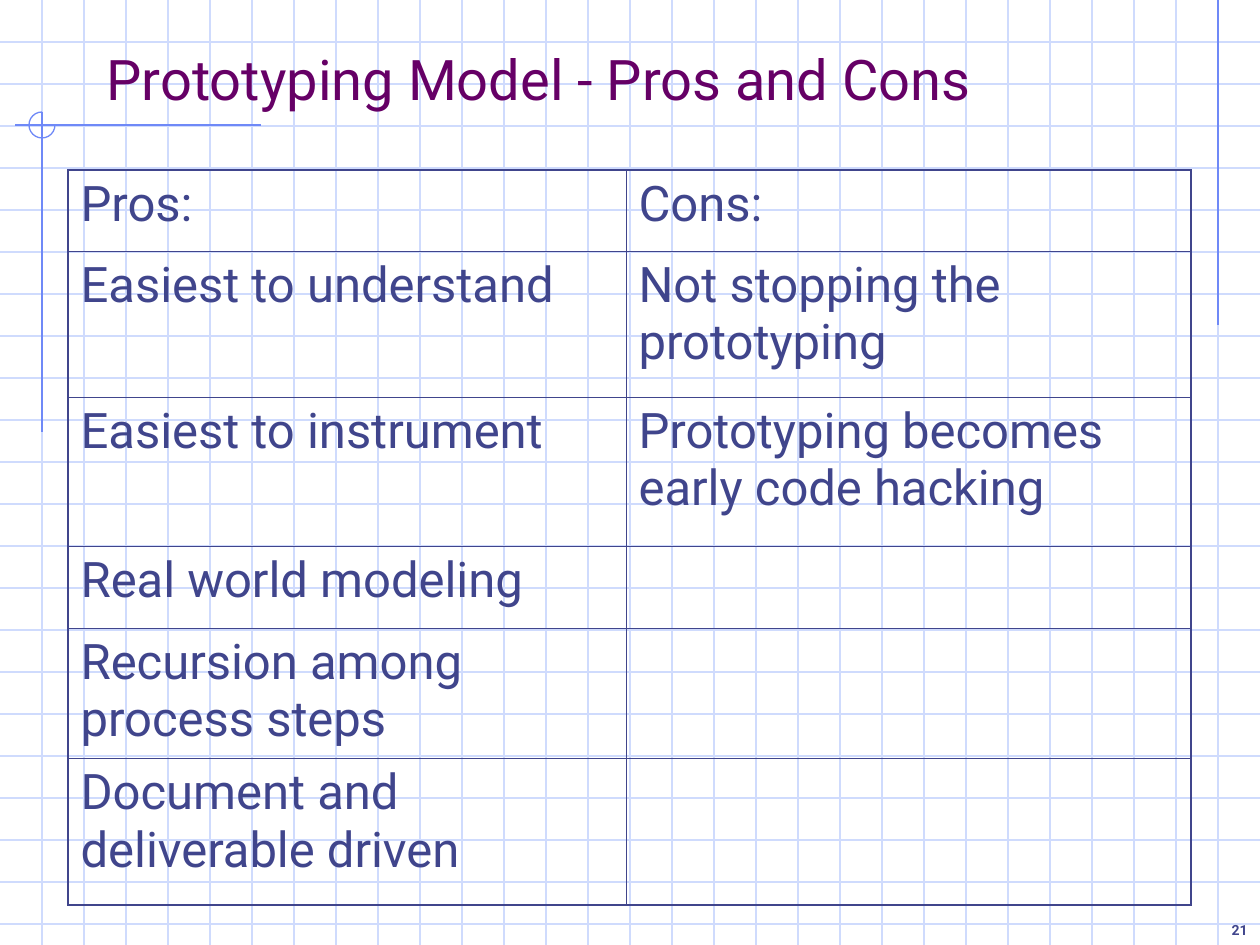
"""Build the slide on the pros and cons of the prototyping model."""
import dataclasses

import lxml.etree
import pptx
import pptx.dml.color
import pptx.enum.shapes
import pptx.enum.text
import pptx.oxml.ns
import pptx.util

WIDTH, HEIGHT, GRID_STEP = 1260, 945, 42
ROWS = [
    ("Pros:", "Cons:"),
    ("Easiest to understand", "Not stopping the prototyping"),
    ("Easiest to instrument", "Prototyping becomes early code hacking"),
    ("Real world modeling", ""),
    ("Recursion among process steps", ""),
    ("Document and deliverable driven", ""),
]
COLUMN_WIDTHS = [558, 565]
ROW_HEIGHTS = [81, 146, 149, 82, 130, 147]


def px(length):
    return pptx.util.Emu(round(length * 914400 / 126))


def rgb(color):
    return pptx.dml.color.RGBColor.from_string(color)


@dataclasses.dataclass(frozen=True)
class Theme:
    font: str = "Roboto"
    grid: str = "CFDBFD"
    accent: str = "6F89F7"
    title: str = "660066"
    body: str = "40458C"
    title_size: int = 32
    body_size: int = 28
    number_size: int = 8
    line_width: float = 0.75
    inner_border: float = 0.45
    outer_border: float = 1.08


class SlideBuilder:
    def __init__(self, slide, theme):
        self.slide = slide
        self.theme = theme

    def style_line(self, line, color):
        line.color.rgb = rgb(color)
        line.width = pptx.util.Pt(self.theme.line_width)

    def style_text(self, paragraph, size, color, bold=False):
        for run in paragraph.runs:
            run.font.name = self.theme.font
            run.font.size = pptx.util.Pt(size)
            run.font.color.rgb = rgb(color)
            run.font.bold = bold

    def line(self, x1, y1, x2, y2, color):
        rule = self.slide.shapes.add_connector(
            pptx.enum.shapes.MSO_CONNECTOR.STRAIGHT, px(x1), px(y1), px(x2), px(y2))
        self.style_line(rule.line, color)
        lxml.etree.SubElement(
            rule._element.spPr, pptx.oxml.ns.qn("a:effectLst"))

    def grid(self):
        for y in range(GRID_STEP, HEIGHT, GRID_STEP):
            self.line(0, y, WIDTH, y, self.theme.grid)
        for x in range(GRID_STEP, WIDTH, GRID_STEP):
            self.line(x, 0, x, HEIGHT, self.theme.grid)

    def three_quarter_arc(self, x, y, diameter):
        arc = self.slide.shapes.add_shape(
            pptx.enum.shapes.MSO_SHAPE.ARC, px(x), px(y), px(diameter), px(diameter))
        arc.adjustments[0] = 0
        arc.adjustments[1] = 162
        arc.shadow.inherit = False
        arc.fill.background()
        self.style_line(arc.line, self.theme.accent)

    def text(self, content, x, y, width, height, size, color,
             align=pptx.enum.text.PP_ALIGN.LEFT, bold=False):
        box = self.slide.shapes.add_textbox(px(x), px(y), px(width), px(height))
        frame = box.text_frame
        frame.word_wrap = True
        frame.vertical_anchor = pptx.enum.text.MSO_ANCHOR.BOTTOM
        frame.text = content
        frame.paragraphs[0].alignment = align
        self.style_text(frame.paragraphs[0], size, color, bold)

    def cell_borders(self, cell, outer_sides):
        properties = cell._tc.get_or_add_tcPr()
        for position, side in enumerate("LRTB"):
            width = (self.theme.outer_border if side in outer_sides
                     else self.theme.inner_border)
            border = lxml.etree.Element(
                pptx.oxml.ns.qn(f"a:ln{side}"), w=str(int(pptx.util.Pt(width))))
            fill = lxml.etree.SubElement(border, pptx.oxml.ns.qn("a:solidFill"))
            lxml.etree.SubElement(
                fill, pptx.oxml.ns.qn("a:srgbClr"), val=self.theme.body)
            properties.insert(position, border)

    def table(self, rows, x, y, widths, heights):
        table = self.slide.shapes.add_table(
            len(rows), len(widths), px(x), px(y),
            px(sum(widths)), px(sum(heights))).table
        table.first_row = table.horz_banding = False
        for column, width in zip(table.columns, widths):
            column.width = px(width)
        for row, height in zip(table.rows, heights):
            row.height = px(height)
        for r, entries in enumerate(rows):
            for c, entry in enumerate(entries):
                cell = table.cell(r, c)
                cell.fill.background()
                cell.text_frame.text = entry
                self.style_text(cell.text_frame.paragraphs[0],
                                self.theme.body_size, self.theme.body)
                edges = {"L": c == 0, "R": c == len(widths) - 1,
                         "T": r == 0, "B": r == len(rows) - 1}
                self.cell_borders(cell, [side for side in edges if edges[side]])


def main():
    presentation = pptx.Presentation()
    presentation.slide_width, presentation.slide_height = px(WIDTH), px(HEIGHT)
    theme = Theme()
    builder = SlideBuilder(
        presentation.slides.add_slide(presentation.slide_layouts[6]), theme)

    builder.grid()
    builder.line(1218, 0, 1218, 325, theme.accent)
    builder.line(261, 125, 15, 125, theme.accent)
    builder.line(42, 112, 42, 432, theme.accent)
    builder.three_quarter_arc(29, 112, 26)
    builder.text("Prototyping Model - Pros and Cons", 94, 42, 1071, 76,
                 theme.title_size, theme.title)
    builder.table(ROWS, 68, 170, COLUMN_WIDTHS, ROW_HEIGHTS)
    builder.text("21", 1201, 907, 59, 38, theme.number_size, theme.body,
                 pptx.enum.text.PP_ALIGN.RIGHT, bold=True)
    presentation.save("out.pptx")


if __name__ == "__main__":
    main()
